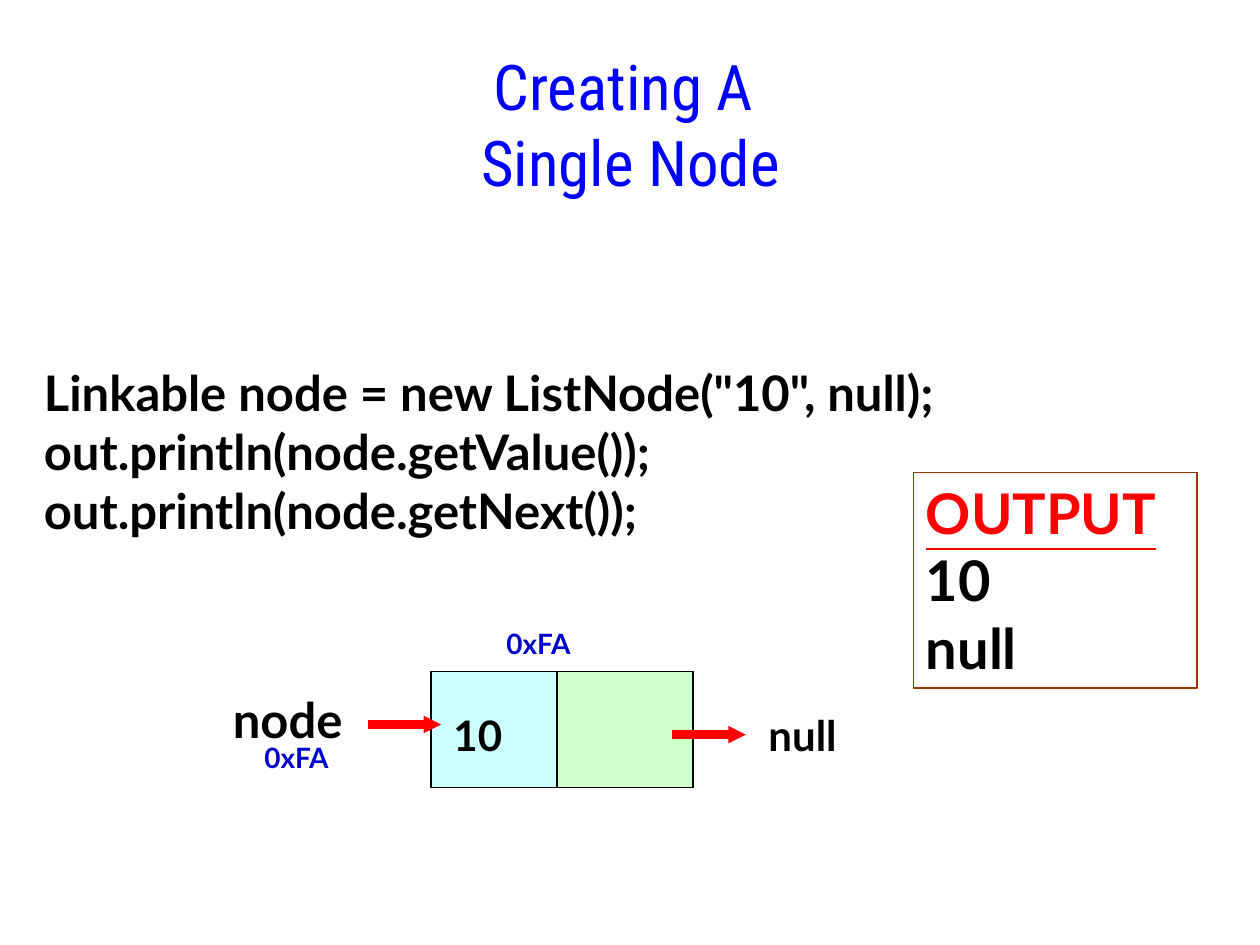
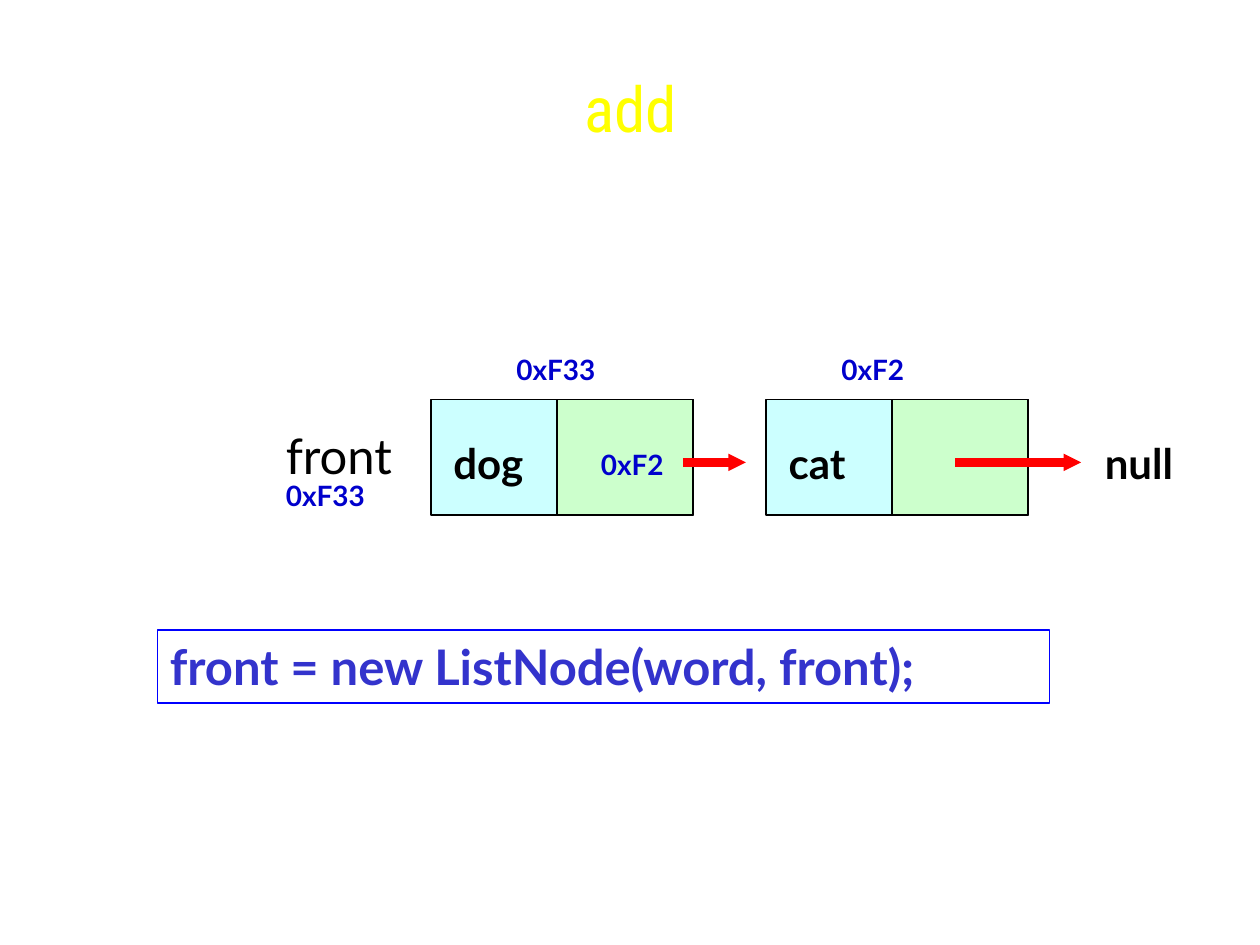
import pptx
import pptx.dml.color
import pptx.enum.shapes
import pptx.enum.text
import pptx.util
from lxml import etree
from pptx.oxml.ns import qn

Inches = pptx.util.Inches
Pt = pptx.util.Pt

COLORS = {
    "black": "000000", "red": "FF0000", "blue": "0000FF", "yellow": "FFFF00",
    "address": "0000CC", "code": "3333CC", "brown": "993300",
    "value": "CCFFFF", "next": "CCFFCC",
}
TITLE_FONT, BODY_FONT = "Roboto Condensed", "Lato"
NODE_W, NODE_H, NEXT_W = 2.08, 0.92, 1.08

SLIDES = [
    {
        "title": (["Creating A ", "Single Node"], 0.33, 1.83, "blue"),
        "nodes": [(3.42, 5.33, "10")],
        "arrows": [(2.92, 3.5, 5.75), (5.33, 5.92, 5.83)],
        "null": (6, 5.58),
        "variable": ("node", 1.75, 5.42, 1.58, True),
        "addresses": [("0xFA", 2, 5.83), ("0xFA", 3.92, 4.92)],
        "code": (['Linkable node = new ListNode("10", null);',
                  "out.println(node.getValue());",
                  "out.println(node.getNext());"],
                 (0.25, 2.83, 9.75, 1.5), "black", None),
        "output": (["OUTPUT", "10", "null"], (7.25, 3.75, 2.25, 1.71)),
    },
    {
        "title": (["add"], 0.5, 1.17, "yellow"),
        "nodes": [(3.42, 3.17, "dog"), (6.08, 3.17, "cat")],
        "arrows": [(5.42, 5.92, 3.67), (7.58, 8.58, 3.67)],
        "null": (8.67, 3.42),
        "variable": ("front", 2.17, 3.33, 1.08, False),
        "addresses": [("0xF2", 6.58, 2.75), ("0xF2", 4.67, 3.5),
                      ("0xF33", 2.17, 3.75), ("0xF33", 4, 2.75)],
        "code": (["front = new ListNode(word, front);"],
                 (1.25, 5, 7.08, 0.58), "code", "blue"),
    },
]


def rgb(name):
    return pptx.dml.color.RGBColor.from_string(COLORS[name])


def add_text(slide, lines, box, size, color="black", bold=True,
             font=BODY_FONT, border=None):
    sp = slide.shapes.add_textbox(*map(Inches, box))
    if border:
        sp.line.color.rgb = rgb(border)
        sp.line.width = Pt(1)
    tf = sp.text_frame
    tf.word_wrap = True
    tf.text = "\n".join(lines)
    for p in tf.paragraphs:
        p.font.name = font
        p.font.size = Pt(size)
        p.font.bold = bold
        p.font.color.rgb = rgb(color)
    return tf


def add_title(slide, lines, top, height, color):
    tf = add_text(slide, lines, (1.42, top, 7.17, height), 36, color,
                  False, TITLE_FONT)
    tf.word_wrap = False
    for p in tf.paragraphs:
        p.alignment = pptx.enum.text.PP_ALIGN.CENTER


def add_node(slide, x, y, value):
    cells = [(x, NODE_W, "value"), (x + NODE_W - NEXT_W, NEXT_W, "next")]
    for left, width, fill in cells:
        sp = slide.shapes.add_shape(
            pptx.enum.shapes.MSO_SHAPE.RECTANGLE,
            *map(Inches, (left, y, width, NODE_H)))
        sp.shadow.inherit = False
        sp.fill.solid()
        sp.fill.fore_color.rgb = rgb(fill)
        sp.line.color.rgb = rgb("black")
        sp.line.width = Pt(1)
    add_text(slide, [value], (x + 0.08, y + 0.25, 0.92, 0.5), 24)


def add_arrow(slide, start, end, y):
    line = slide.shapes.add_connector(
        pptx.enum.shapes.MSO_CONNECTOR.STRAIGHT,
        *map(Inches, (start, y, end, y)))
    line.line.color.rgb = rgb("red")
    line.line.width = Pt(5)
    etree.SubElement(line.line._get_or_add_ln(), qn("a:tailEnd"),
                     type="triangle", w="sm", len="sm")
    etree.SubElement(line._element.spPr, qn("a:effectLst"))


def add_output(slide, lines, box):
    tf = add_text(slide, lines, box, 32, border="brown")
    heading = tf.paragraphs[0].font
    heading.color.rgb = rgb("red")
    heading.underline = True


def build_slide(prs, content):
    slide = prs.slides.add_slide(prs.slide_layouts[6])
    add_title(slide, *content["title"])
    for node in content["nodes"]:
        add_node(slide, *node)
    for arrow in content["arrows"]:
        add_arrow(slide, *arrow)
    add_text(slide, ["null"], (*content["null"], 1.08, 0.5), 24)
    name, x, y, width, bold = content["variable"]
    add_text(slide, [name], (x, y, width, 0.57), 28, bold=bold)
    for address, x, y in content["addresses"]:
        add_text(slide, [address], (x, y, 1.08, 0.37), 16, "address")
    lines, box, color, border = content["code"]
    add_text(slide, lines, box, 28, color, border=border)
    if "output" in content:
        add_output(slide, *content["output"])


def main():
    prs = pptx.Presentation()
    prs.slide_width, prs.slide_height = Inches(10), Inches(7.5)
    for content in SLIDES:
        build_slide(prs, content)
    prs.save("out.pptx")


if __name__ == "__main__":
    main()
